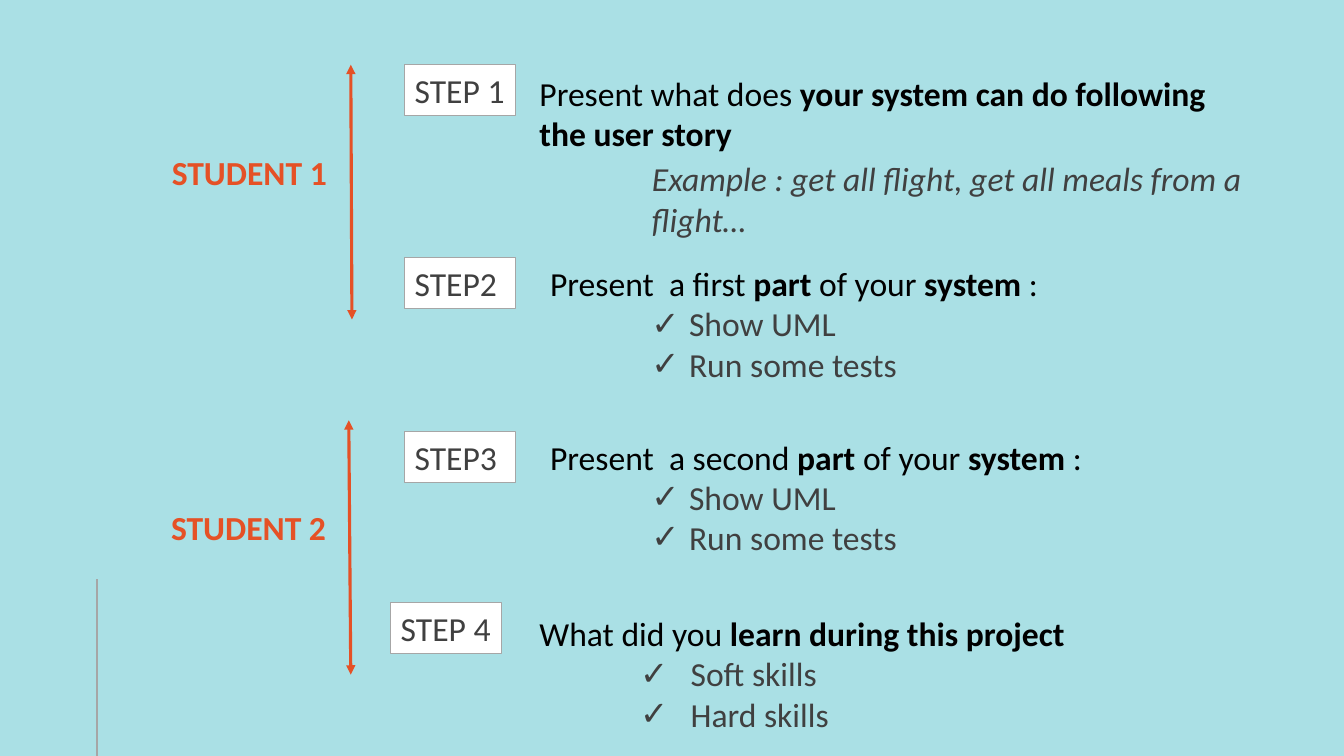
"""Build the slide that shares four presentation steps between two students."""
from dataclasses import dataclass

from lxml import etree
from pptx import Presentation
from pptx import util as u
from pptx.dml.color import RGBColor
from pptx.enum import shapes, text
from pptx.oxml.ns import qn


@dataclass(frozen=True)
class Theme:
    back: str = "AAE0E5"
    accent: str = "E55126"
    black: str = "000000"
    gray: str = "404040"
    edge: str = "A6A6A6"
    white: str = "FFFFFF"
    font: str = "Calibri"
    size: int = 24


@dataclass(frozen=True)
class Step:
    tag: str
    tag_x: float
    tag_y: float
    head: str
    x: float
    y: float
    wide: float
    tall: float
    items: tuple = ()
    left: float = 3.5
    hang: float = 0.95


@dataclass(frozen=True)
class Student:
    name: str
    x: float
    y: float
    start: tuple
    end: tuple


LOOK = Theme()
TESTS = ("Show UML", "Run some tests")
STEPS = (
    Step("STEP 1", 10.2, 1.63, "Present what does *your system can do following the user story",
         13.34, 1.7, 17.88, 2.31),
    Step("STEP2", 10.2, 6.5, "Present  a first *part* of your *system* :",
         13.61, 6.5, 12.8, 3.33, TESTS),
    Step("STEP3", 10.2, 10.87, "Present  a second *part* of your *system* :",
         13.61, 10.87, 13.92, 3.33, TESTS),
    Step("STEP 4", 9.85, 15.19, "What did you *learn during this project",
         13.34, 15.32, 13.87, 3.33, ("Soft skills", "Hard skills"), 3.81, 1.27),
)
STUDENTS = (
    Student("STUDENT 1", 4.06, 3.71, (8.84, 1.63), (8.87, 8.05)),
    Student("STUDENT 2", 4.04, 12.65, (8.79, 10.59), (8.84, 17.0)),
)


def tint(hue: str) -> RGBColor:
    """Turn a hex string into a colour."""
    return RGBColor.from_string(hue)


def style(para, hue: str, bold: bool = False, slant: bool = False) -> None:
    """Set the font of a paragraph."""
    font = para.font
    font.name, font.size = LOOK.font, u.Pt(LOOK.size)
    font.bold, font.italic = bold, slant
    font.color.rgb = tint(hue)


def indent(para, left: float, hang: float = 0, mark: str = "") -> None:
    """Set the indent and the bullet of a paragraph."""
    para.space_before = u.Pt(0)
    props = para._p.get_or_add_pPr()
    props.set("marL", str(u.Cm(left)))
    props.set("indent", str(-u.Cm(hang)))
    if mark:
        etree.SubElement(props, qn("a:buChar")).set("char", mark)
    else:
        etree.SubElement(props, qn("a:buNone"))


def add_line(slide, start: tuple, end: tuple, hue: str, width: float,
             arrow: bool = False) -> None:
    """Draw a line, with arrowheads at both ends if asked."""
    line = slide.shapes.add_connector(
        shapes.MSO_CONNECTOR.STRAIGHT, *map(u.Cm, start + end))
    line.line.color.rgb = tint(hue)
    line.line.width = u.Pt(width)
    if arrow:
        for end_tag in ("a:headEnd", "a:tailEnd"):
            etree.SubElement(line.line._ln, qn(end_tag)).set("type", "triangle")
    etree.SubElement(line._element.spPr, qn("a:effectLst"))


def add_tag(slide, step: Step) -> None:
    """Draw the white box that names a step."""
    box = slide.shapes.add_shape(
        shapes.MSO_SHAPE.RECTANGLE, *map(u.Cm, (step.tag_x, step.tag_y, 2.8, 1.28)))
    box.shadow.inherit = False
    box.fill.solid()
    box.fill.fore_color.rgb = tint(LOOK.white)
    box.line.color.rgb = tint(LOOK.edge)
    box.line.width = u.Pt(0.75)
    box.text_frame.margin_right = 0
    para = box.text_frame.paragraphs[0]
    para.text = step.tag
    para.alignment = text.PP_ALIGN.LEFT
    style(para, LOOK.gray)


def fill_step(body, step: Step) -> None:
    """Place a body and write the heading and items of a step."""
    body.left, body.top, body.width, body.height = map(
        u.Cm, (step.x, step.y, step.wide, step.tall))
    frame = body.text_frame
    frame.word_wrap = True
    frame.auto_size = text.MSO_AUTO_SIZE.NONE
    frame.vertical_anchor = text.MSO_ANCHOR.TOP
    head = frame.paragraphs[0]
    indent(head, 0)
    style(head, LOOK.black)
    for spot, part in enumerate(step.head.split("*")):
        run = head.add_run()
        run.text = part
        run.font.bold = spot % 2 == 1
    for item in step.items:
        para = frame.add_paragraph()
        para.text, para.level = item, 1
        indent(para, step.left, step.hang, "✓")
        style(para, LOOK.gray)


def add_student(slide, student: Student) -> None:
    """Draw the name of a student and the span of their steps."""
    frame = slide.shapes.add_textbox(
        *map(u.Cm, (student.x, student.y, 4.45, 1.28))).text_frame
    frame.word_wrap = False
    para = frame.paragraphs[0]
    para.text = student.name
    para.alignment = text.PP_ALIGN.CENTER
    style(para, LOOK.accent, bold=True)
    add_line(slide, student.start, student.end, LOOK.accent, 2.25, arrow=True)


def add_hint(slide) -> None:
    """Write the example under the first step."""
    frame = slide.shapes.add_textbox(*map(u.Cm, (13.64, 3.86, 19.91, 2.31))).text_frame
    frame.word_wrap = True
    para = frame.paragraphs[0]
    para.text, para.level = "Example : get all flight, get all meals from a flight…", 1
    indent(para, 2.54)
    style(para, LOOK.gray, slant=True)


def main() -> None:
    """Build and save the slide."""
    deck = Presentation()
    deck.slide_width, deck.slide_height = u.Cm(33.87), u.Cm(19.05)
    slide = deck.slides.add_slide(deck.slide_layouts.get_by_name("Comparison"))
    slide.background.fill.solid()
    slide.background.fill.fore_color.rgb = tint(LOOK.back)
    title, *bodies = slide.placeholders
    title._element.getparent().remove(title._element)
    for body, step in zip(bodies, STEPS):
        fill_step(body, step)
        add_tag(slide, step)
    add_hint(slide)
    for student in STUDENTS:
        add_student(slide, student)
    add_line(slide, (2.44, 14.6), (2.44, 19.05), LOOK.edge, 1)
    deck.save("out.pptx")


if __name__ == "__main__":
    main()
